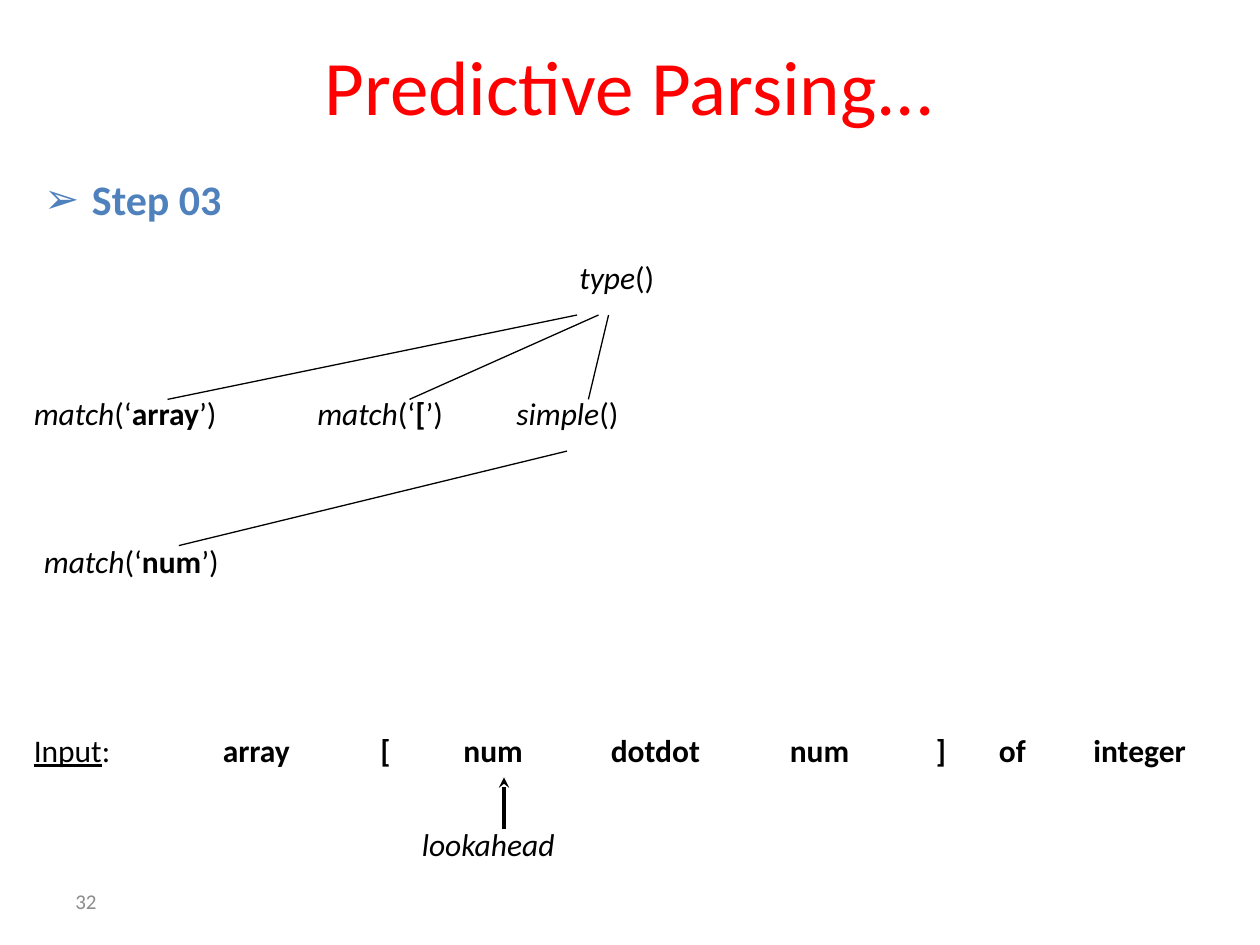
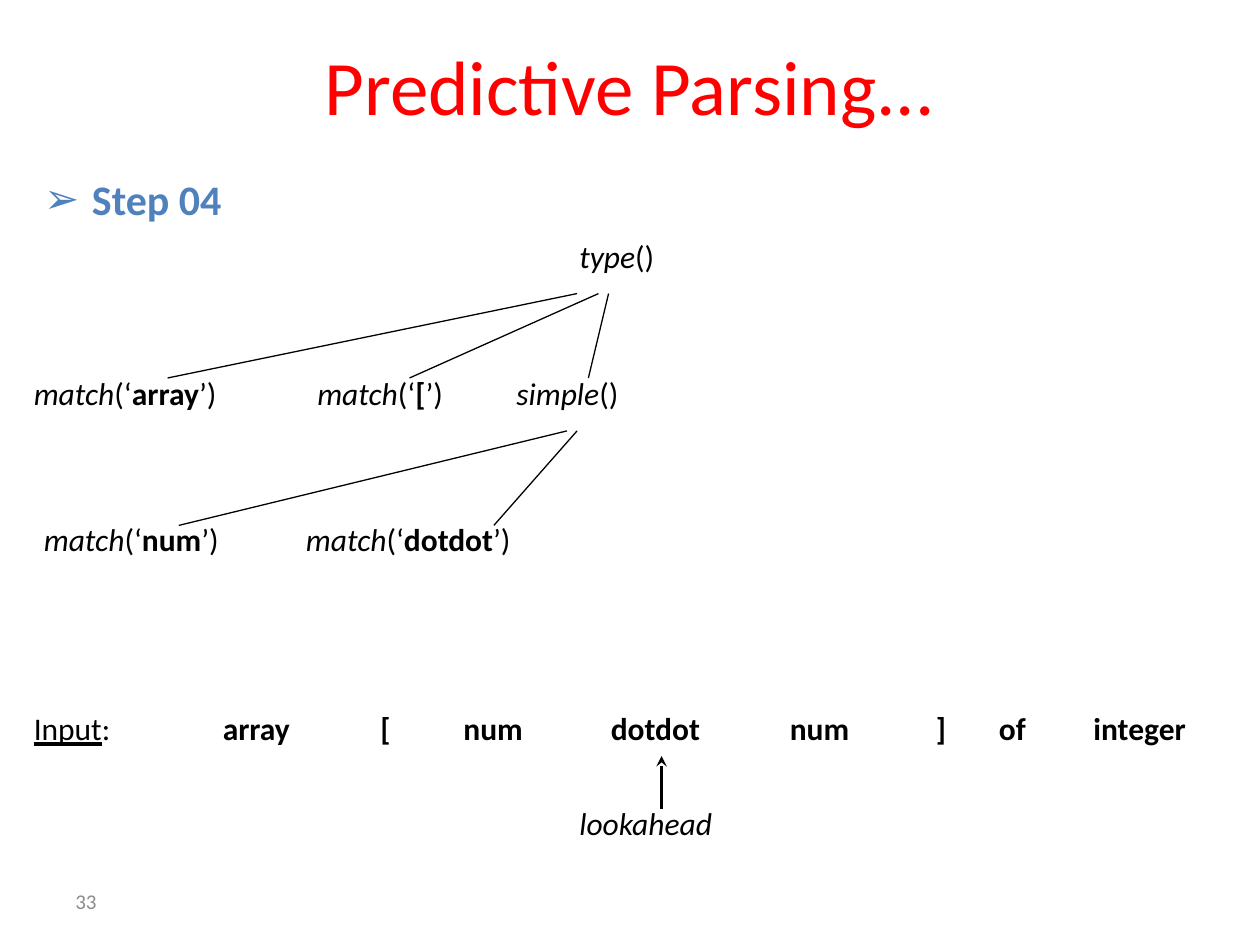
import pptx
import pptx.util
import pptx.dml.color
import pptx.enum.shapes
import pptx.enum.text
import pptx.oxml.ns
import lxml.etree

BLACK, RED, BLUE, GREY = "000000", "FF0000", "4F81BD", "8C8C8C"
FONT = "Calibri"
CELL = 1 / 12
BOX_ROWS = 6

TITLE = "Predictive Parsing..."
TITLE_AREA = (6, 2, 108, 12)
STEP_AREA = (3, 16, 114, 65)
NUMBER_AREA = (6, 83.4, 28, 4.8)

ROOT = ("type", None, 54, 12)
CALLS = [("match", "array", 2, 27), ("match", "[", 29, 19), ("simple", None, 48, 15.5)]
CALL_LINES = [(55, 16), (57, 39), (58, 56)]
LEAVES = [("match", "num", 3, 25), ("match", "dotdot", 28, 29)]
LEAF_LINES = [(54, 17), (55, 47)]
TOKENS = [
    ("array", 20, 12), ("[", 35, 4), ("num", 43, 10), ("dotdot", 57, 14),
    ("num", 74, 10), ("]", 88, 4), ("of", 94, 6), ("integer", 103, 14),
]

ROOT_ROW, CALL_ROW, LEAF_ROW, INPUT_ROW, LOOKAHEAD_ROW = 0, 13, 27, 45, 54
CALL_LINE_ROWS, LEAF_LINE_ROWS, ARROW_ROWS = (6, 14), (19, 28), (50, 55)
LOOKAHEAD_COLUMNS, ARROW_OFFSET = 19, 9

STEPS = [
    {"step": "Step 03", "number": "32", "top": 24, "leaves": 1, "lookahead": 39},
    {"step": "Step 04", "number": "33", "top": 22, "leaves": 2, "lookahead": 54},
]


def grid(cells):
    return pptx.util.Inches(round(cells * CELL, 2))


def color(value):
    return pptx.dml.color.RGBColor.from_string(value)


def add_span(para, text, size=18, tone=BLACK, **style):
    span = para.add_run()
    span.text = text
    span.font.name = FONT
    span.font.size = pptx.util.Pt(size)
    span.font.color.rgb = color(tone)
    for name, value in style.items():
        setattr(span.font, name, value)


def add_box(page, column, row, columns, rows=BOX_ROWS):
    box = page.shapes.add_textbox(grid(column), grid(row), grid(columns), grid(rows))
    box.text_frame.word_wrap = True
    return box.text_frame


def place(shape, area):
    shape.left, shape.top, shape.width, shape.height = map(grid, area)
    return shape.text_frame


def add_line(page, start, end, width=0.75, arrow=False):
    line = page.shapes.add_connector(
        pptx.enum.shapes.MSO_CONNECTOR.STRAIGHT, *map(grid, start + end))
    line.line.color.rgb = color(BLACK)
    line.line.width = pptx.util.Pt(width)
    if arrow:
        outline = line.line._get_or_add_ln()
        lxml.etree.SubElement(outline, pptx.oxml.ns.qn("a:headEnd"), type="stealth")
    lxml.etree.SubElement(line._element.spPr, pptx.oxml.ns.qn("a:effectLst"))


def add_fan(page, lines, rows, top):
    for start, end in lines:
        add_line(page, (start, top + rows[0]), (end, top + rows[1]))


def add_call(page, call, row):
    name, token, column, columns = call
    para = add_box(page, column, row, columns).paragraphs[0]
    add_span(para, name, italic=True)
    if token:
        add_span(para, "(‘")
        add_span(para, token, bold=True)
        add_span(para, "’)")
    else:
        add_span(para, "()")


def add_heading(page, step):
    frame = place(page.shapes.title, TITLE_AREA)
    frame.vertical_anchor = pptx.enum.text.MSO_ANCHOR.MIDDLE
    para = frame.paragraphs[0]
    para.alignment = pptx.enum.text.PP_ALIGN.CENTER
    add_span(para, TITLE, 44, RED)

    para = place(page.placeholders[1], STEP_AREA).paragraphs[0]
    para.space_before = pptx.util.Pt(0)
    properties = para._p.get_or_add_pPr()
    indent = pptx.util.Inches(0.38)
    properties.set("marL", str(indent))
    properties.set("indent", str(-indent))
    lxml.etree.SubElement(properties, pptx.oxml.ns.qn("a:buChar"), char="➢")
    add_span(para, step, 24, BLUE, bold=True)


def add_number(page, number):
    frame = add_box(page, *NUMBER_AREA)
    frame.vertical_anchor = pptx.enum.text.MSO_ANCHOR.MIDDLE
    add_span(frame.paragraphs[0], number, 12, GREY)


def add_tree(page, top, leaves):
    add_call(page, ROOT, top + ROOT_ROW)
    for call in CALLS:
        add_call(page, call, top + CALL_ROW)
    for leaf in LEAVES[:leaves]:
        add_call(page, leaf, top + LEAF_ROW)
    add_fan(page, CALL_LINES, CALL_LINE_ROWS, top)
    add_fan(page, LEAF_LINES[:leaves], LEAF_LINE_ROWS, top)


def add_input(page, top, lookahead):
    para = add_box(page, 2, top + INPUT_ROW, 12).paragraphs[0]
    add_span(para, "Input", underline=True)
    add_span(para, ":")
    for token, column, columns in TOKENS:
        frame = add_box(page, column, top + INPUT_ROW, columns)
        add_span(frame.paragraphs[0], token, bold=True)
    frame = add_box(page, lookahead, top + LOOKAHEAD_ROW, LOOKAHEAD_COLUMNS)
    add_span(frame.paragraphs[0], "lookahead", italic=True)
    start, end = [(lookahead + ARROW_OFFSET, top + row) for row in ARROW_ROWS]
    add_line(page, start, end, 2, arrow=True)


def main():
    deck = pptx.Presentation()
    deck.slide_width = pptx.util.Inches(10)
    deck.slide_height = pptx.util.Inches(7.5)
    for step in STEPS:
        page = deck.slides.add_slide(deck.slide_layouts[1])
        add_heading(page, step["step"])
        add_number(page, step["number"])
        add_tree(page, step["top"], step["leaves"])
        add_input(page, step["top"], step["lookahead"])
    deck.save("out.pptx")


if __name__ == "__main__":
    main()
